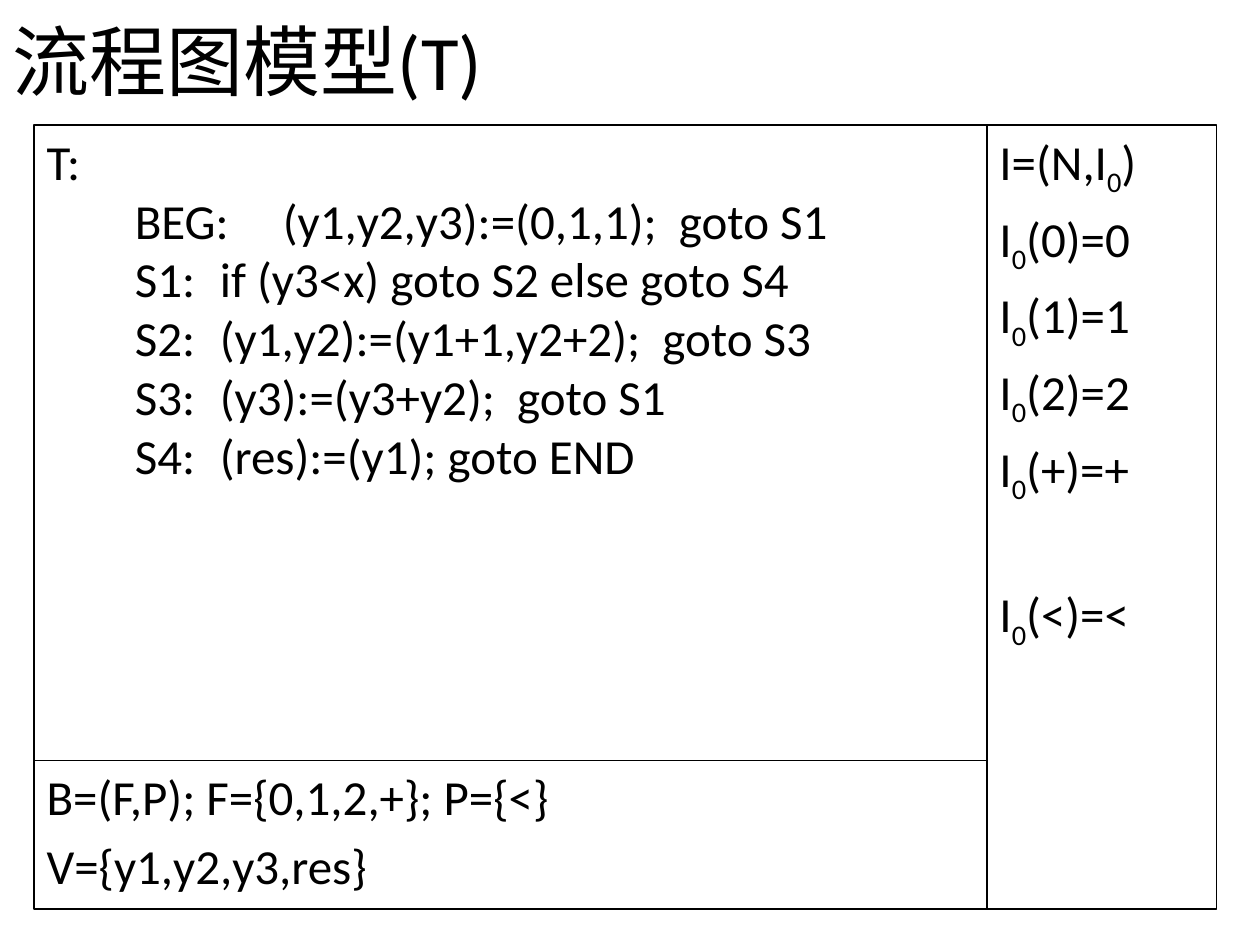
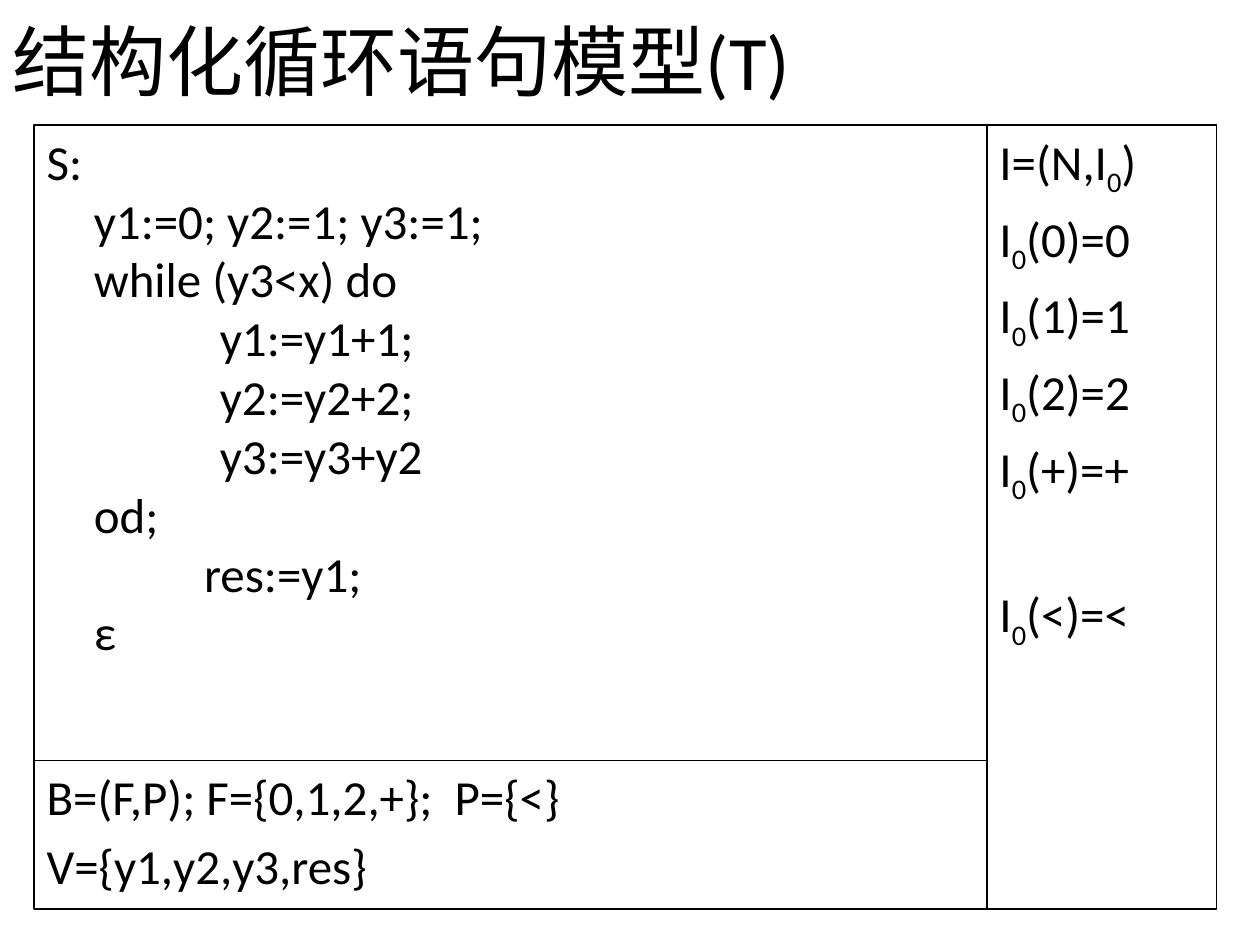
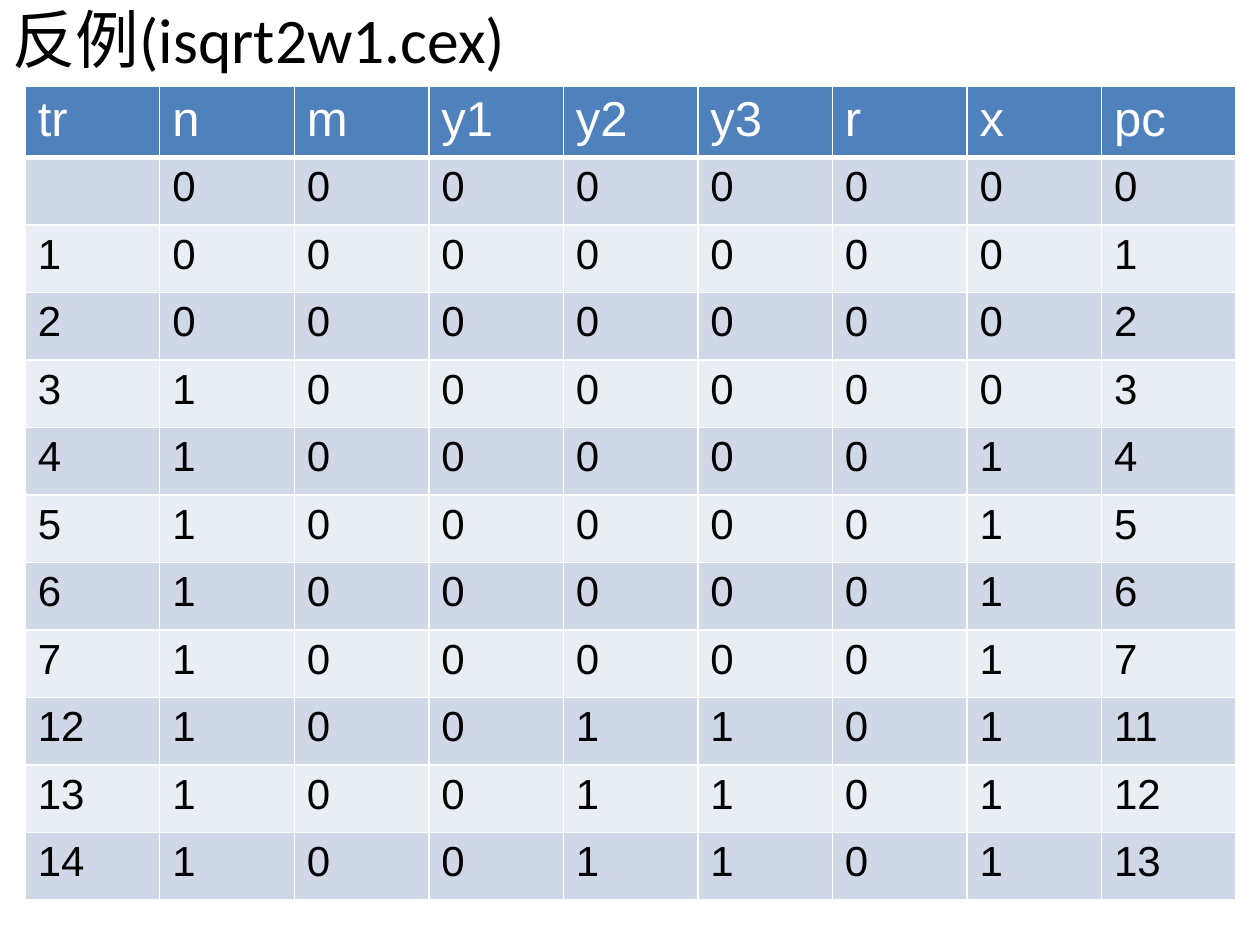
from lxml.etree import SubElement
from pptx import Presentation
from pptx.dml.color import RGBColor
from pptx.enum.shapes import MSO_SHAPE
from pptx.enum.text import MSO_ANCHOR, PP_ALIGN
from pptx.oxml.ns import qn
from pptx.util import Pt

BLACK, WHITE = "000000", "FFFFFF"
HEADER, BANDS = "4F81BD", ("D0D8E8", "E9EDF4")
BODY_SIZE, PARAGRAPH_GAP, SKIPPED_LINE_GAP = 28, 5.6, 45
LEFT, TOP, MIDDLE, RIGHT, SPLIT, BOTTOM = 19.5, 71.5, 564, 695, 434.5, 519.5
PROGRAM_BOX = (LEFT, TOP, MIDDLE - LEFT, SPLIT - TOP)
BASIS_BOX = (LEFT, SPLIT, MIDDLE - LEFT, BOTTOM - SPLIT)
INTERPRETATION_BOX = (MIDDLE, TOP, RIGHT - MIDDLE, BOTTOM - TOP)
HANGING, LABEL, STATEMENT, LOOP, RESULT = (27, -27), (27, 23.4), (27, 0), (99, 0), (90, 0)

FLOWCHART = [
    ("T:", HANGING),
    ("BEG:\t(y1,y2,y3):=(0,1,1);  goto S1", LABEL),
    ("S1:\tif (y3<x) goto S2 else goto S4", LABEL),
    ("S2:\t(y1,y2):=(y1+1,y2+2);  goto S3", LABEL),
    ("S3:\t(y3):=(y3+y2);  goto S1", LABEL),
    ("S4:\t(res):=(y1); goto END", LABEL),
]
STRUCTURED = [
    ("S:", HANGING),
    ("y1:=0; y2:=1; y3:=1;", STATEMENT),
    ("while (y3<x) do", STATEMENT),
    ("y1:=y1+1;", LOOP),
    ("y2:=y2+2;", LOOP),
    ("y3:=y3+y2", LOOP),
    ("od;", STATEMENT),
    ("res:=y1;", RESULT),
    ("ε", STATEMENT),
]
MODELS = [
    ("流程图模型(T)", FLOWCHART, "B=(F,P); F={0,1,2,+}; P={<}"),
    ("结构化循环语句模型(T)", STRUCTURED, "B=(F,P); F={0,1,2,+};  P={<}"),
]
VARIABLES = "V={y1,y2,y3,res}"
INTERPRETATION = ["I=(N,I_0)"] + [f"I_0({symbol})={symbol}" for symbol in "012+<"]

COLUMNS = ["tr", "n", "m", "y1", "y2", "y3", "r", "x", "pc"]
TRACE = [
    ["", 0, 0, 0, 0, 0, 0, 0, 0],
    [1, 0, 0, 0, 0, 0, 0, 0, 1],
    [2, 0, 0, 0, 0, 0, 0, 0, 2],
    [3, 1, 0, 0, 0, 0, 0, 0, 3],
    [4, 1, 0, 0, 0, 0, 0, 1, 4],
    [5, 1, 0, 0, 0, 0, 0, 1, 5],
    [6, 1, 0, 0, 0, 0, 0, 1, 6],
    [7, 1, 0, 0, 0, 0, 0, 1, 7],
    [12, 1, 0, 0, 1, 1, 0, 1, 11],
    [13, 1, 0, 0, 1, 1, 0, 1, 12],
    [14, 1, 0, 0, 1, 1, 0, 1, 13],
]


def color(value):
    """Return the colour for a hex string."""
    return RGBColor.from_string(value)


def style_font(font, size, name="Calibri", value=BLACK):
    """Apply size, typeface and colour to a font."""
    font.size, font.name = Pt(size), name
    font.color.rgb = color(value)


def add_border(cell, side, width):
    """Add a white border to one side of a table cell."""
    line = SubElement(cell._tc.get_or_add_tcPr(), qn(f"a:ln{side}"), w=str(Pt(width)))
    fill = SubElement(line, qn("a:solidFill"))
    SubElement(fill, qn("a:srgbClr"), val=WHITE)


class Deck:
    """Hold the presentation and the current slide."""

    def __init__(self):
        """Start an empty 4:3 presentation."""
        self.presentation = Presentation()
        self.presentation.slide_width, self.presentation.slide_height = Pt(720), Pt(540)

    def add_slide(self):
        """Start a new blank slide."""
        self.slide = self.presentation.slides.add_slide(self.presentation.slide_layouts[6])

    def add_title(self, text, top=1.5, height=65, size=44):
        """Add a full-width title."""
        frame = self.slide.shapes.add_textbox(0, Pt(top), Pt(720), Pt(height)).text_frame
        frame.word_wrap, frame.vertical_anchor = True, MSO_ANCHOR.MIDDLE
        frame.text = text
        style_font(frame.paragraphs[0].runs[0].font, size)

    def add_panel(self, box, lines, gap=0, last_gap=None):
        """Add an outlined box of (text, indents) lines, where _0 marks a subscript."""
        shape = self.slide.shapes.add_shape(MSO_SHAPE.RECTANGLE, *map(Pt, box))
        shape.shadow.inherit = False
        shape.fill.background()
        shape.line.color.rgb, shape.line.width = color(BLACK), Pt(0.75)
        frame = shape.text_frame
        frame.word_wrap, frame.vertical_anchor = True, MSO_ANCHOR.TOP
        for index, (text, (margin, indent)) in enumerate(lines):
            paragraph = frame.add_paragraph() if index else frame.paragraphs[0]
            paragraph.alignment = PP_ALIGN.LEFT
            properties = paragraph._p.get_or_add_pPr()
            properties.set("marL", str(Pt(margin)))
            properties.set("indent", str(Pt(indent)))
            if index:
                paragraph.space_before = Pt(gap)
            self.add_runs(paragraph, text)
        if last_gap:
            paragraph.space_before = Pt(last_gap)

    def add_runs(self, paragraph, text):
        """Fill a paragraph, lowering the 0 after an underscore."""
        before, mark, after = text.partition("_0")
        for part in filter(None, (before, mark, after)):
            run = paragraph.add_run()
            run.text = part.lstrip("_")
            style_font(run.font, BODY_SIZE)
            if part == mark:
                run._r.get_or_add_rPr().set("baseline", "-25000")

    def add_table(self, rows, left, top, column_width, header_height, row_height):
        """Add a banded table whose first row is the header."""
        height = header_height + row_height * (len(rows) - 1)
        table = self.slide.shapes.add_table(
            len(rows), len(rows[0]), Pt(left), Pt(top), Pt(column_width * len(rows[0])), Pt(height)
        ).table
        for column in table.columns:
            column.width = Pt(column_width)
        for index, values in enumerate(rows):
            table.rows[index].height = Pt(row_height if index else header_height)
            for cell, value in zip(table.rows[index].cells, values):
                self.fill_cell(cell, str(value), index)

    def fill_cell(self, cell, text, row):
        """Write and style one table cell."""
        for side in "LRTB":
            add_border(cell, side, 3 if (row, side) in ((0, "B"), (1, "T")) else 1)
        cell.fill.solid()
        cell.fill.fore_color.rgb = color(BANDS[(row - 1) % 2] if row else HEADER)
        cell.text = text
        for run in cell.text_frame.paragraphs[0].runs:
            style_font(run.font, 24 if row else 28, "Arial", BLACK if row else WHITE)
            run.font.bold = False


def main():
    """Build the three slides."""
    deck = Deck()
    for title, program, basis in MODELS:
        deck.add_slide()
        deck.add_title(title)
        deck.add_panel(PROGRAM_BOX, program)
        deck.add_panel(BASIS_BOX, [(text, HANGING) for text in (basis, VARIABLES)], PARAGRAPH_GAP)
        meanings = [(text, HANGING) for text in INTERPRETATION]
        deck.add_panel(INTERPRETATION_BOX, meanings, PARAGRAPH_GAP, SKIPPED_LINE_GAP)
    deck.add_slide()
    deck.add_table([COLUMNS] + TRACE, 14.4, 49, 76.9, 40.3, 38.6)
    deck.add_title("反例(isqrt2w1.cex)", 0, 43, 36.3)
    deck.presentation.save("out.pptx")


if __name__ == "__main__":
    main()
